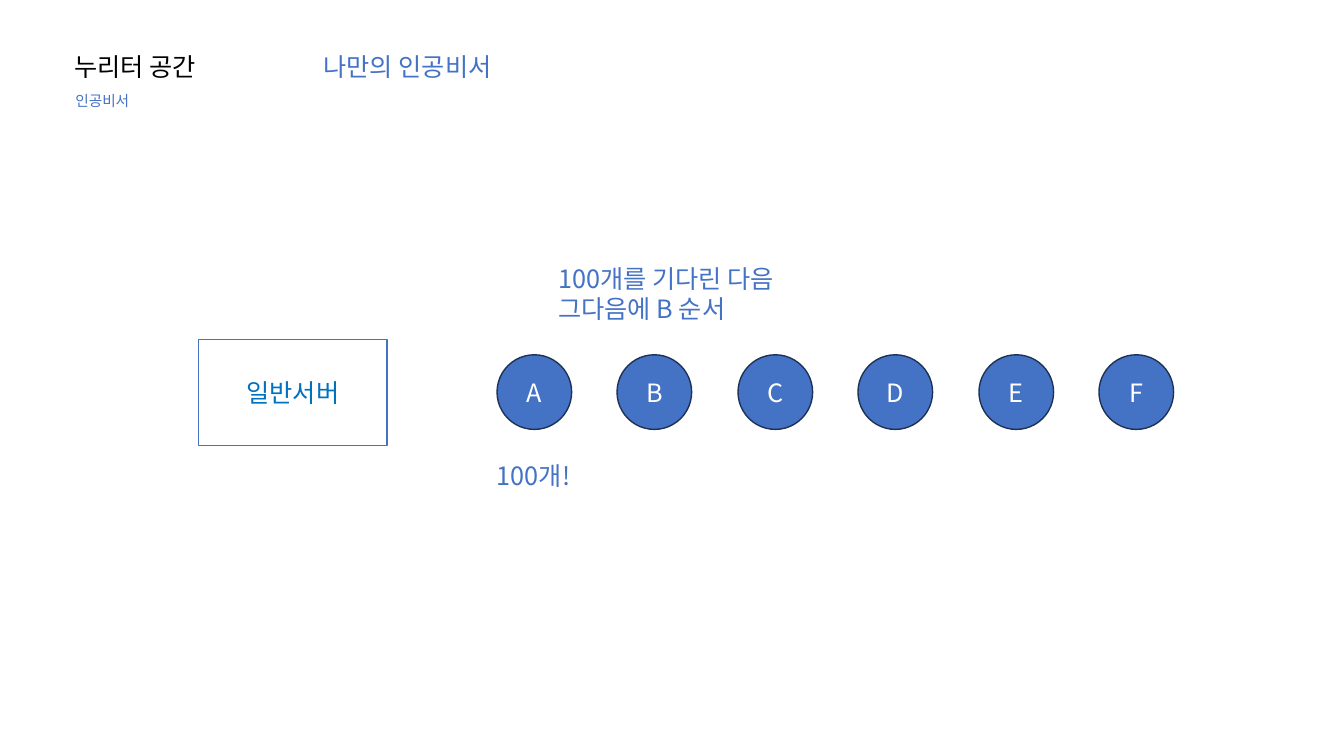
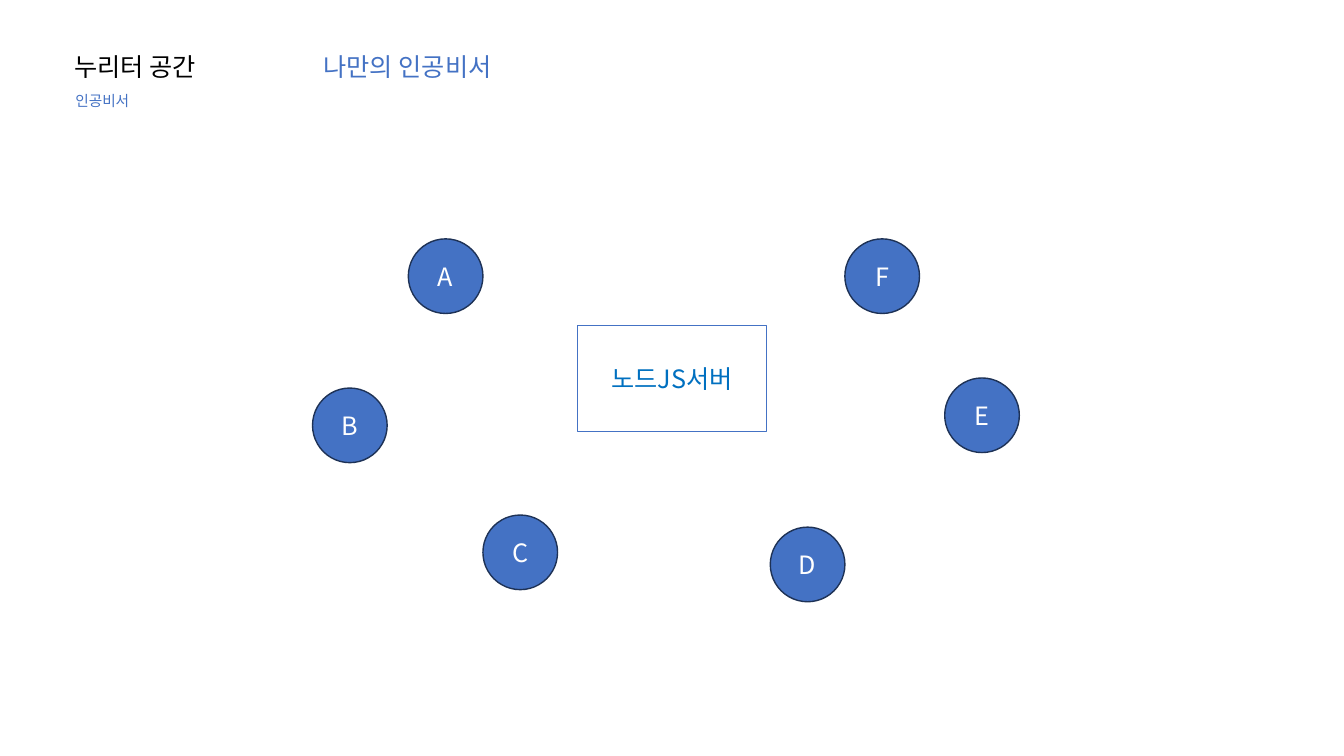
import pptx
import pptx.dml.color
import pptx.enum.shapes
import pptx.enum.text
import pptx.oxml
import pptx.oxml.ns
import pptx.util

EMU_PER_PX = 9144  # 100 px to the inch
SLIDE_SIZE = (1333, 750)
FONT = "Noto Sans CJK KR"
COLORS = {
    "black": "000000",
    "white": "FFFFFF",
    "blue": "4472C4",
    "navy": "1E3256",
    "server": "0070C0",
}

# lines, (left, top, width, height), text style
HEADER = [
    (["누리터 공간"], (64, 46, 211, 40), {"color": "black"}),
    (["인공비서"], (65, 86, 139, 28), {"size": 10.5}),
    (["나만의 인공비서"], (311, 46, 206, 40), {"wrap": False}),
]

SERVER_SIZE = (187, 105)
CLIENT_SIZE = (74, 74)
CLIENTS = "ABCDEF"
QUEUE_LEFT, QUEUE_TOP, QUEUE_STEP = 493, 352, 119.4

SLIDES = [
    {
        "server": ("일반서버", (197, 337)),
        "clients": [(round(QUEUE_LEFT + i * QUEUE_STEP), QUEUE_TOP)
                    for i in range(len(CLIENTS))],
        "notes": [
            (["100개!"], (483, 452, 94, 40), {"wrap": False}),
            (["100개를 기다린 다음", "그다음에 B 순서"],
             (544, 256, 256, 71), {"wrap": False}),
        ],
    },
    {
        "server": ("노드JS서버", (573, 323)),
        "clients": [(405, 237), (310, 385), (479, 511),
                    (764, 523), (937, 375), (838, 237)],
        "notes": [],
    },
]

SHAPES = pptx.enum.shapes.MSO_SHAPE
SERVER_STYLE = {"preset": SHAPES.RECTANGLE, "fill": None,
                "line": "blue", "text_color": "server"}
CLIENT_STYLE = {"preset": SHAPES.OVAL, "fill": "blue",
                "line": "navy", "text_color": "white"}


def emu(*lengths):
    return [pptx.util.Emu(length * EMU_PER_PX) for length in lengths]


def rgb(name):
    return pptx.dml.color.RGBColor.from_string(COLORS[name])


def write(box, lines, color, size=18, align=None, **frame_format):
    frame = box.text_frame
    for name, value in frame_format.items():
        setattr(frame, name, value)
    for index, line in enumerate(lines):
        para = frame.paragraphs[0] if index == 0 else frame.add_paragraph()
        para.alignment = align
        span = para.add_run()
        span.text = line
        span.font.name = FONT
        span.font.size = pptx.util.Pt(size)
        span.font.color.rgb = rgb(color)
        # Korean letters take the East Asian typeface
        east_asian = pptx.oxml.parse_xml(
            f'<a:ea {pptx.oxml.ns.nsdecls("a")} typeface="{FONT}"/>')
        span.font._element.append(east_asian)


def add_text(page, lines, place, color="blue", size=18, wrap=True):
    box = page.shapes.add_textbox(*emu(*place))
    write(box, lines, color, size, word_wrap=wrap,
          auto_size=pptx.enum.text.MSO_AUTO_SIZE.SHAPE_TO_FIT_TEXT)


def add_node(page, label, position, size, style):
    """Add a labelled server box or client circle."""
    node = page.shapes.add_shape(style["preset"], *emu(*position, *size))
    node.shadow.inherit = False
    if style["fill"]:
        node.fill.solid()
        node.fill.fore_color.rgb = rgb(style["fill"])
    else:
        node.fill.background()
    node.line.color.rgb = rgb(style["line"])
    node.line.width = pptx.util.Pt(1)
    write(node, [label], style["text_color"],
          align=pptx.enum.text.PP_ALIGN.CENTER,
          vertical_anchor=pptx.enum.text.MSO_ANCHOR.MIDDLE)


def main():
    deck = pptx.Presentation()
    deck.slide_width, deck.slide_height = emu(*SLIDE_SIZE)
    for content in SLIDES:
        page = deck.slides.add_slide(deck.slide_layouts[6])
        for lines, place, style in HEADER:
            add_text(page, lines, place, **style)
        add_node(page, *content["server"], SERVER_SIZE, SERVER_STYLE)
        for label, position in zip(CLIENTS, content["clients"]):
            add_node(page, label, position, CLIENT_SIZE, CLIENT_STYLE)
        for lines, place, style in content["notes"]:
            add_text(page, lines, place, **style)
    deck.save("out.pptx")


if __name__ == "__main__":
    main()
